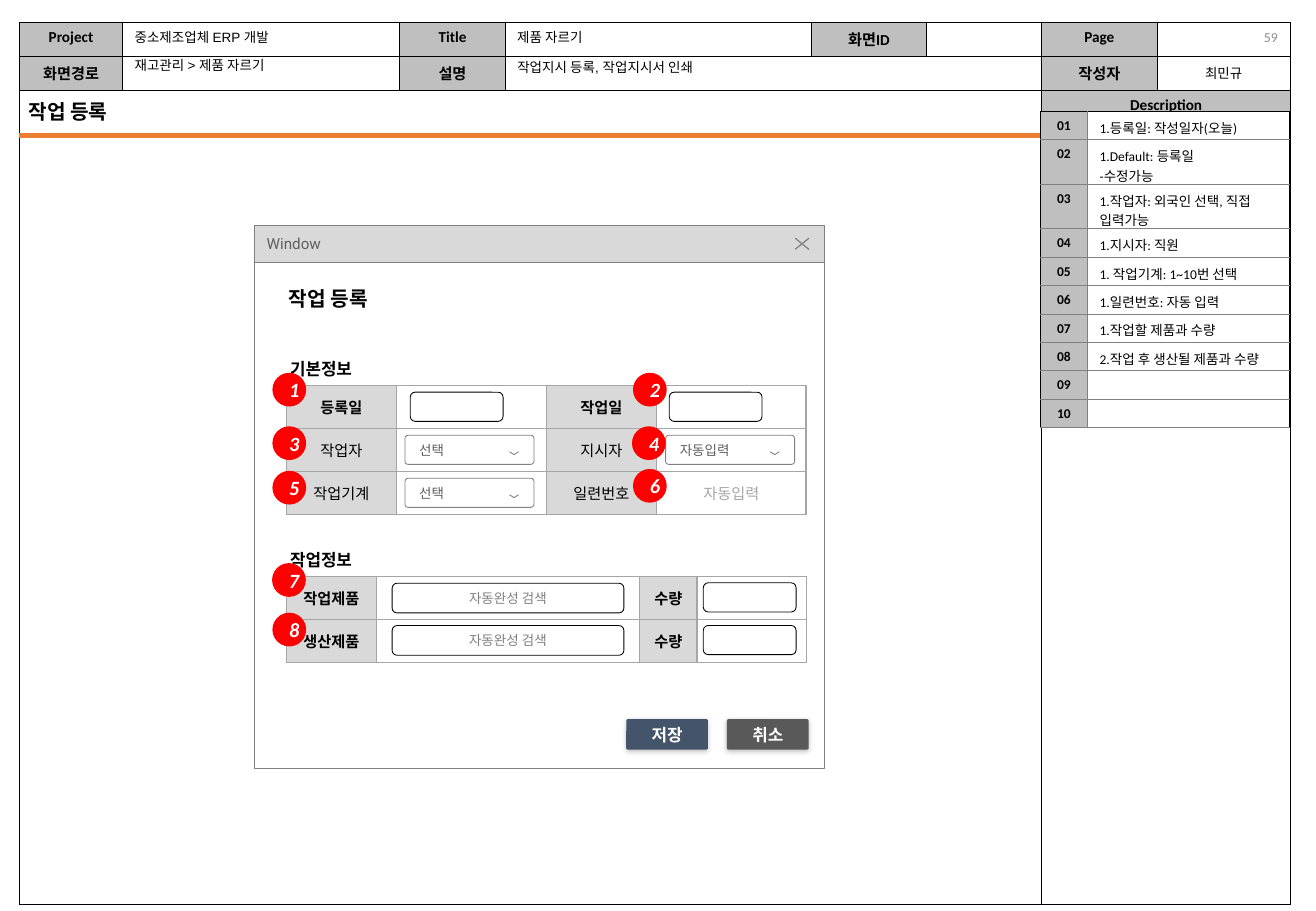
from dataclasses import dataclass, replace
from typing import Any

from pptx import Presentation
from pptx.dml.color import RGBColor
from pptx.enum.shapes import MSO_CONNECTOR, MSO_SHAPE
from pptx.enum.text import MSO_ANCHOR, MSO_AUTO_SIZE, PP_ALIGN
from pptx.oxml.xmlchemy import OxmlElement
from pptx.util import Pt

BLACK = RGBColor(0x00, 0x00, 0x00)
WHITE = RGBColor(0xFF, 0xFF, 0xFF)
LABEL_GRAY = RGBColor(0xBF, 0xBF, 0xBF)
FORM_GRAY = RGBColor(0xD9, 0xD9, 0xD9)
GRID_GRAY = RGBColor(0xA6, 0xA6, 0xA6)
LINE_GRAY = RGBColor(0x80, 0x80, 0x80)
PAGE_GRAY = RGBColor(0x8C, 0x8C, 0x8C)
TEXT_GRAY = RGBColor(0x5F, 0x5F, 0x5F)
ORANGE = RGBColor(0xED, 0x7D, 0x31)
RED = RGBColor(0xFF, 0x00, 0x00)
SAVE_BLUE = RGBColor(0x44, 0x54, 0x6A)
CANCEL_GRAY = RGBColor(0x59, 0x59, 0x59)


@dataclass(frozen=True)
class TextStyle:
    size: float
    font: str = "Calibri"
    color: RGBColor = BLACK
    bold: bool = False
    italic: bool = False
    align: PP_ALIGN = PP_ALIGN.CENTER
    anchor: MSO_ANCHOR = MSO_ANCHOR.MIDDLE
    insets: tuple[float, float, float, float] = (7.2, 3.6, 7.2, 3.6)


@dataclass(frozen=True)
class Box:
    left: float
    top: float
    width: float
    height: float

    def emu(self) -> tuple[Pt, Pt, Pt, Pt]:
        return Pt(self.left), Pt(self.top), Pt(self.width), Pt(self.height)


@dataclass(frozen=True)
class Grid:
    left: float
    top: float
    widths: list[float]
    heights: list[float]
    texts: list[list[str]]
    label_columns: set[int]
    label_fill: RGBColor
    label_styles: list[TextStyle]
    body_style: TextStyle
    body_fill: RGBColor | None
    inner: RGBColor
    outer: RGBColor
    line_width: float
    merges: tuple[tuple[int, int, int, int], ...] = ()


def write(frame: Any, text: str, style: TextStyle) -> None:
    frame.text = text
    for paragraph in frame.paragraphs:
        paragraph.alignment = style.align
        font = paragraph.font
        font.size, font.name = Pt(style.size), style.font
        font.bold, font.italic = style.bold, style.italic
        font.color.rgb = style.color
        if not text:
            end = OxmlElement("a:endParaRPr")
            end.set("sz", str(int(style.size * 100)))
            paragraph._p.append(end)


def place_text(frame: Any, text: str, style: TextStyle) -> None:
    write(frame, text, style)
    frame.vertical_anchor = style.anchor
    (frame.margin_left, frame.margin_top,
     frame.margin_right, frame.margin_bottom) = map(Pt, style.insets)


def set_border(cell: Any, side: str, color: RGBColor, width: float) -> None:
    line = OxmlElement(f"a:ln{side}")
    line.set("w", str(Pt(width)))
    fill = OxmlElement("a:solidFill")
    value = OxmlElement("a:srgbClr")
    value.set("val", str(color))
    fill.append(value)
    line.append(fill)
    cell._tc.get_or_add_tcPr().append(line)


def draw_grid(shapes: Any, grid: Grid) -> None:
    rows, columns = len(grid.heights), len(grid.widths)
    box = Box(grid.left, grid.top, sum(grid.widths), sum(grid.heights))
    table = shapes.add_table(rows, columns, *box.emu()).table
    table.first_row = table.horz_banding = False
    for column, width in zip(table.columns, grid.widths):
        column.width = Pt(width)
    for row, height in zip(table.rows, grid.heights):
        row.height = Pt(height)
    for r, texts in enumerate(grid.texts):
        for c, text in enumerate(texts):
            cell = table.cell(r, c)
            is_label = bool(text) and c in grid.label_columns
            style = grid.label_styles[r] if is_label else grid.body_style
            write(cell.text_frame, text, style)
            cell.vertical_anchor = style.anchor
            edges = {"L": c == 0, "R": c == columns - 1, "T": r == 0, "B": False}
            for side, is_outer in edges.items():
                set_border(cell, side, grid.outer if is_outer else grid.inner, grid.line_width)
            fill = grid.label_fill if is_label else grid.body_fill
            if fill is None:
                cell.fill.background()
            else:
                cell.fill.solid()
                cell.fill.fore_color.rgb = fill
    for r1, c1, r2, c2 in grid.merges:
        table.cell(r1, c1).merge(table.cell(r2, c2))


def draw_shape(shapes: Any, kind: MSO_SHAPE, box: Box, fill: RGBColor, line: RGBColor | None = None,
               text: str = "", style: TextStyle | None = None, corner: float | None = None) -> Any:
    shape = shapes.add_shape(kind, *box.emu())
    shape.shadow.inherit = False
    shape.fill.solid()
    shape.fill.fore_color.rgb = fill
    if line is None:
        shape.line.fill.background()
    else:
        shape.line.color.rgb, shape.line.width = line, Pt(0.5)
    if corner is not None:
        shape.adjustments[0] = corner
    if style:
        place_text(shape.text_frame, text, style)
    return shape


def draw_text(shapes: Any, box: Box, text: str, style: TextStyle, wrap: bool = False) -> None:
    frame = shapes.add_textbox(*box.emu()).text_frame
    place_text(frame, text, style)
    frame.word_wrap = wrap
    if not wrap:
        frame.auto_size = MSO_AUTO_SIZE.SHAPE_TO_FIT_TEXT


def draw_strokes(shapes: Any, strokes: list[list[tuple[float, float]]], width: float) -> None:
    points = [[(Pt(x), Pt(y)) for x, y in stroke] for stroke in strokes]
    builder = shapes.build_freeform(*points[0][0])
    for i, stroke in enumerate(points):
        if i:
            builder.move_to(*stroke[0])
        builder.add_line_segments(stroke[1:], close=False)
    icon = builder.convert_to_shape()
    icon.shadow.inherit = False
    icon.fill.background()
    icon.line.color.rgb, icon.line.width = LINE_GRAY, Pt(width)


def draw_dropdown(shapes: Any, left: float, top: float, text: str) -> None:
    group = shapes.add_group_shape().shapes
    draw_shape(group, MSO_SHAPE.ROUNDED_RECTANGLE, Box(left, top, 76.5, 17.3), WHITE, LINE_GRAY,
               text, DROPDOWN, 0.11)
    x, y = left + 62, top + 9.8
    draw_strokes(group, [[(x + 5.4, y), (x + 2.7, y + 1.7), (x, y)]], 0.5)


def draw_button(shapes: Any, left: float, text: str, fill: RGBColor) -> None:
    button = draw_shape(shapes, MSO_SHAPE.ROUNDED_RECTANGLE, Box(left, 426.3, 48.4, 18), fill,
                        None, text, BUTTON, 0.05)
    shadow = OxmlElement("a:outerShdw")
    for key, value in (("blurRad", Pt(3)), ("dist", Pt(1)), ("dir", 90 * 60000)):
        shadow.set(key, str(int(value)))
    color, alpha = OxmlElement("a:srgbClr"), OxmlElement("a:alpha")
    color.set("val", str(BLACK))
    alpha.set("val", "25000")
    color.append(alpha)
    shadow.append(color)
    button._element.spPr.find(EFFECTS).append(shadow)


EFFECTS = "{http://schemas.openxmlformats.org/drawingml/2006/main}effectLst"
HEADER_LABEL = TextStyle(9, bold=True, anchor=MSO_ANCHOR.TOP)
HEADER_BODY = TextStyle(8, anchor=MSO_ANCHOR.TOP)
HEADER_VALUE = TextStyle(8, "Arial", align=PP_ALIGN.LEFT, anchor=MSO_ANCHOR.TOP)
TITLE = replace(HEADER_VALUE, size=12, bold=True)
SECTION = replace(TITLE, size=10)
FORM_LABEL = TextStyle(9, bold=True)
FORM_PLAIN = TextStyle(9)
FORM_BODY = TextStyle(9, color=GRID_GRAY)
DROPDOWN = TextStyle(8, "Arial", TEXT_GRAY, align=PP_ALIGN.LEFT, insets=(7.9, 5, 21.6, 5))
SEARCH = TextStyle(8, color=LINE_GRAY)
WINDOW = TextStyle(9, "Roboto", TEXT_GRAY, align=PP_ALIGN.LEFT, insets=(7.2, 3.6, 18, 3.6))
BADGE = TextStyle(12, color=WHITE, bold=True, italic=True)
BUTTON = TextStyle(10, "Roboto", WHITE, bold=True, insets=(5.8, 3.6, 5.8, 3.6))

HEADER = Grid(
    11.5, 13, [61.2, 164, 63, 181.4, 68, 68.3, 68.4, 79.2], [20, 20.3, 12.8, 464.4],
    [["Project", "", "Title", "", "화면ID", "", "Page", ""],
     ["화면경로", "", "설명", "", "", "", "작성자", "최민규"],
     ["", "", "", "", "", "", "Description", ""], [""] * 8],
    {0, 2, 4, 6}, LABEL_GRAY, [HEADER_LABEL] * 4, HEADER_BODY, None, BLACK, BLACK, 0.5,
    ((1, 3, 1, 5), (2, 0, 3, 5), (2, 6, 2, 7), (3, 6, 3, 7)))
NOTES = ["1.등록일: 작성일자(오늘)", "1.Default: 등록일\n-수정가능",
         "1.작업자: 외국인 선택, 직접 입력가능", "1.지시자: 직원", "1. 작업기계: 1~10번 선택",
         "1.일련번호: 자동 입력", "1.작업할 제품과 수량", "2.작업 후 생산될 제품과 수량", "", ""]
DESCRIPTION = Grid(
    616.8, 66, [27.8, 119.8], [16.85, 26.4, 26.4] + [16.85] * 7,
    [[f"{n:02}", note] for n, note in enumerate(NOTES, 1)],
    {0}, LABEL_GRAY, [replace(HEADER_LABEL, size=8)] * 10,
    replace(HEADER_BODY, align=PP_ALIGN.LEFT), WHITE, LINE_GRAY, BLACK, 0.5)
BASIC_INFO = Grid(
    169.7, 228.4, [65.3, 88.8] * 2, [25.5] * 3,
    [["등록일", "", "작업일", ""], ["작업자", "", "지시자", ""],
     ["작업기계", "", "일련번호", "자동입력"]],
    {0, 2}, FORM_GRAY, [FORM_LABEL, FORM_PLAIN, FORM_PLAIN], FORM_BODY, WHITE,
    GRID_GRAY, GRID_GRAY, 1)
WORK_INFO = Grid(
    169.7, 341.8, [53.3, 156.2, 33.9, 64.8], [25.5] * 2,
    [["작업제품", "", "수량", ""], ["생산제품", "", "수량", ""]],
    {0, 2}, FORM_GRAY, [FORM_LABEL, replace(FORM_LABEL, font="Arial")], FORM_BODY, WHITE,
    GRID_GRAY, GRID_GRAY, 1)
CAPTIONS = [
    (Box(72.7, 30.2, 101.5, 17), "재고관리 > 제품 자르기", HEADER_VALUE),
    (Box(299.5, 13.7, 57.6, 17), "제품 자르기", HEADER_VALUE),
    (Box(9.8, 55.5, 67, 21.8), "작업 등록", TITLE),
    (Box(72.7, 13.7, 108.7, 17), "중소제조업체 ERP 개발", HEADER_VALUE),
    (Box(299.5, 31.7, 130.3, 17), "작업지시 등록, 작업지시서 인쇄", HEADER_VALUE)]
FORM_CAPTIONS = [
    (Box(164, 166.3, 67, 21.8), "작업 등록", TITLE),
    (Box(164.9, 208.8, 54.7, 19.4), "기본정보", SECTION),
    (Box(164.9, 322.3, 54.7, 19.4), "작업정보", SECTION)]
INPUTS = [(243.2, 232.5), (396.7, 232.5), (416.9, 345.5), (416.9, 370.8)]
DROPDOWNS = [(240, 258, "선택"), (394.5, 258, "자동입력"), (240, 283.5, "선택")]
BADGES = [(161.5, 221), (375.2, 221), (161.5, 252.7), (374.6, 252.7),
          (161.5, 279.1), (375.2, 278), (161.3, 333.8), (161.5, 363.2)]


def main() -> None:
    presentation = Presentation()
    presentation.slide_width, presentation.slide_height = Pt(780), Pt(540)
    shapes = presentation.slides.add_slide(presentation.slide_layouts[6]).shapes

    # Page frame and header
    draw_grid(shapes, HEADER)
    draw_text(shapes, Box(589, 14.4, 175.5, 15.1), "59",
              TextStyle(8.1, color=PAGE_GRAY, align=PP_ALIGN.RIGHT), wrap=True)
    for caption in CAPTIONS:
        draw_text(shapes, *caption)
    rule = shapes.add_connector(MSO_CONNECTOR.STRAIGHT, Pt(11.5), Pt(80.4), Pt(617), Pt(80.4))
    rule.line.color.rgb, rule.line.width = ORANGE, Pt(3)
    rule._element.spPr.append(OxmlElement("a:effectLst"))
    draw_grid(shapes, DESCRIPTION)

    # Dialog window
    window = shapes.add_group_shape().shapes
    draw_shape(window, MSO_SHAPE.RECTANGLE, Box(151, 155.5, 337.5, 300.3), WHITE, LINE_GRAY)
    draw_shape(window, MSO_SHAPE.RECTANGLE, Box(151, 133.5, 337.5, 22), FORM_GRAY, LINE_GRAY,
               "Window", WINDOW)
    draw_strokes(window, [[(479.5, 141.2), (471.3, 147.8)], [(471.3, 141.2), (479.5, 147.8)]], 0.75)

    # Form tables and fields
    draw_grid(shapes, BASIC_INFO)
    draw_grid(shapes, WORK_INFO)
    for caption in FORM_CAPTIONS:
        draw_text(shapes, *caption)
    for left, top in INPUTS:
        draw_shape(shapes, MSO_SHAPE.ROUNDED_RECTANGLE, Box(left, top, 55, 17.3), WHITE, BLACK)
    for top in (345.7, 370.8):
        draw_shape(shapes, MSO_SHAPE.ROUNDED_RECTANGLE, Box(232.4, top, 137.4, 17.6), WHITE, BLACK,
                   "자동완성 검색", SEARCH)
    for dropdown in DROPDOWNS:
        draw_dropdown(shapes, *dropdown)

    # Buttons and numbered badges
    draw_button(shapes, 371.2, "저장", SAVE_BLUE)
    draw_button(shapes, 430.9, "취소", CANCEL_GRAY)
    for number, (left, top) in enumerate(BADGES, 1):
        draw_shape(shapes, MSO_SHAPE.OVAL, Box(left, top, 20, 20), RED, None, str(number), BADGE)

    presentation.save("out.pptx")


if __name__ == "__main__":
    main()
